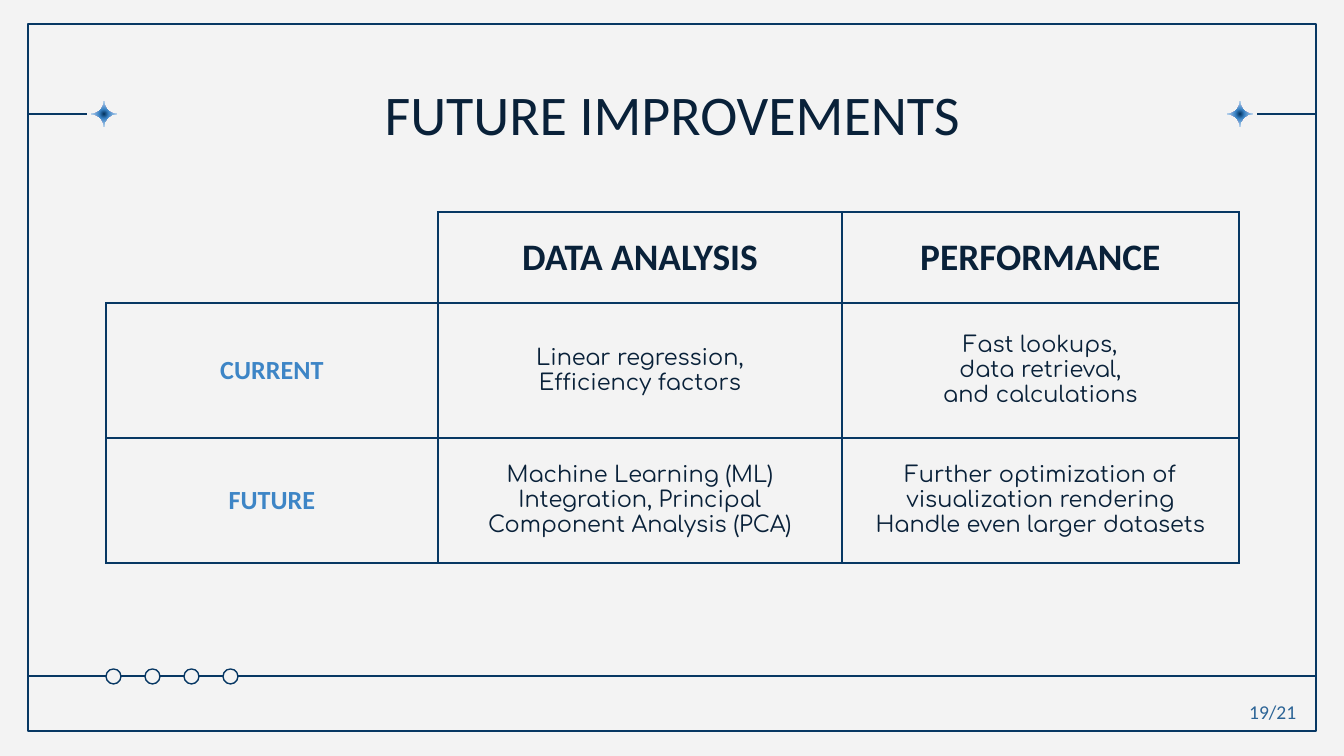
import math
from itertools import accumulate
from lxml import etree
from pptx import Presentation
from pptx import util as u
from pptx.dml.color import RGBColor
from pptx.enum import shapes, text
from pptx.oxml import parse_xml
from pptx.oxml.ns import nsdecls, qn

PX = 914400 / 134.4
NAVY, INK, BLUE, PAPER = "073763", "092139", "3D85C6", "F3F3F3"
HEAD = dict(size=20, name="Calibri", color=INK, bold=True)
LABEL = dict(HEAD, size=14, color=BLUE)
BODY = dict(size=12, name="Comfortaa", color=INK, bold=False)
STOPS = [(0, NAVY), (25, BLUE), (60, "9FC5E8"), (100, PAPER)]


def px(n):
    return u.Emu(round(n * PX))


def rgb(value):
    return RGBColor.from_string(value)


def border_xml(side, color):
    paint = f'<a:solidFill><a:srgbClr val="{color}"/></a:solidFill>' if color else "<a:noFill/>"
    return parse_xml(f'<a:{side} {nsdecls("a")} w="9525">{paint}</a:{side}>')


class Deck:
    line_width = u.Pt(0.75)

    def __init__(self, width, height):
        self.prs = Presentation()
        self.prs.slide_width, self.prs.slide_height = px(width), px(height)
        self.s = self.prs.slides.add_slide(self.prs.slide_layouts[6])
        fill = self.s.background.fill
        fill.solid()
        fill.fore_color.rgb = rgb(PAPER)

    def outline(self, sp):
        sp.line.color.rgb = rgb(NAVY)
        sp.line.width = self.line_width

    def shape(self, kind, x, y, w, h, fill=None):
        sp = self.s.shapes.add_shape(kind, px(x), px(y), px(w), px(h))
        sp.shadow.inherit = False
        self.outline(sp)
        if fill:
            sp.fill.solid()
            sp.fill.fore_color.rgb = rgb(fill)
        else:
            sp.fill.background()

    def line(self, x1, y1, x2, y2):
        sp = self.s.shapes.add_connector(shapes.MSO_CONNECTOR.STRAIGHT, px(x1), px(y1), px(x2), px(y2))
        self.outline(sp)
        etree.SubElement(sp._element.spPr, qn("a:effectLst"))

    def star(self, cx, cy, r, steps=8):
        arc = [(1 - math.cos(t), math.sin(t) - 1)
               for t in (i * math.pi / 2 / steps for i in range(steps))]
        points = []
        for _ in range(4):
            points += [(px(cx + r * x), px(cy + r * y)) for x, y in arc]
            arc = [(-y, x) for x, y in arc]
        fb = self.s.shapes.build_freeform(*points[0], scale=1.0)
        fb.add_line_segments(points[1:], close=True)
        sp = fb.convert_to_shape()
        sp.shadow.inherit = False
        sp.line.fill.background()
        stops = "".join(f'<a:gs pos="{p * 1000}"><a:srgbClr val="{c}"/></a:gs>' for p, c in STOPS)
        grad = parse_xml(
            f'<a:gradFill {nsdecls("a")}><a:gsLst>{stops}</a:gsLst><a:path path="circle">'
            '<a:fillToRect l="50000" t="50000" r="50000" b="50000"/></a:path></a:gradFill>')
        sp._element.spPr.find(qn("a:custGeom")).addnext(grad)

    def paragraphs(self, tf, content, style, align):
        for i, words in enumerate(content.split("\n")):
            p = tf.paragraphs[0] if i == 0 else tf.add_paragraph()
            p.alignment = align
            r = p.add_run()
            r.text = words
            for key, value in style.items():
                if key == "color":
                    r.font.color.rgb = rgb(value)
                else:
                    setattr(r.font, key, u.Pt(value) if key == "size" else value)

    def text(self, x, y, w, h, content, style, align=text.PP_ALIGN.LEFT, **frame):
        tf = self.s.shapes.add_textbox(px(x), px(y), px(w), px(h)).text_frame
        for key, value in frame.items():
            setattr(tf, key, value)
        self.paragraphs(tf, content, style, align)

    def cell(self, cell, content, style, margin_x, margin_y):
        margins = dict(margin_left=margin_x, margin_right=margin_x,
                       margin_top=margin_y, margin_bottom=margin_y)
        for key, value in margins.items():
            setattr(cell, key, px(value))
        cell.vertical_anchor = text.MSO_ANCHOR.MIDDLE
        tcPr = cell._tc.get_or_add_tcPr()
        for side in ("lnL", "lnR", "lnT", "lnB"):
            color = NAVY if content or side in ("lnR", "lnB") else None
            tcPr.append(border_xml(side, color))
        cell.fill.background()
        if content:
            self.paragraphs(cell.text_frame, content, style, text.PP_ALIGN.CENTER)

    def table(self, x, y, widths, heights, rows):
        table = self.s.shapes.add_table(len(rows), len(widths), px(x), px(y),
                                        px(sum(widths)), px(sum(heights))).table
        table.first_row = table.horz_banding = False
        for column, width in zip(table.columns, widths):
            column.width = px(width)
        for i, (row, height) in enumerate(zip(rows, heights)):
            table.rows[i].height = px(height)
            for j, content in enumerate(row):
                if i == 0:
                    look = HEAD, 0, 0
                else:
                    look = (LABEL, 13, 13) if j == 0 else (BODY, 27, 13)
                self.cell(table.cell(i, j), content, *look)


def main():
    deck = Deck(1344, 756)
    left, right, star_y, rule_y = 28, 1316, 114, 676
    deck.shape(shapes.MSO_SHAPE.RECTANGLE, left, 24, right - left, 707)
    deck.line(right, rule_y, left, rule_y)
    for edge, inward in ((left, 1), (right, -1)):
        deck.line(edge, star_y, edge + 59 * inward, star_y)
        deck.star(edge + 76 * inward, star_y, 13)
    for x in accumulate([39] * 3, initial=106):
        deck.shape(shapes.MSO_SHAPE.OVAL, x, rule_y - 7, 15, 15, PAPER)
    deck.text(106, 80, 1133, 71, "FUTURE IMPROVEMENTS", dict(size=30, name="Calibri", color=INK),
              text.PP_ALIGN.CENTER, word_wrap=True, margin_top=0)
    deck.table(106, 212, [332, 404, 397], [91, 135, 125], [
        ["", "DATA ANALYSIS", "PERFORMANCE"],
        ["CURRENT", "Linear regression,\nEfficiency factors",
         "Fast lookups,\ndata retrieval,\nand calculations"],
        ["FUTURE", "Machine Learning (ML) Integration, Principal Component Analysis (PCA)",
         "Further optimization of visualization rendering\nHandle even larger datasets"],
    ])
    deck.text(1236, 693, 78, 38, "19/21", dict(size=10.5, name="Calibri", color="2C6496"),
              word_wrap=False, auto_size=text.MSO_AUTO_SIZE.SHAPE_TO_FIT_TEXT)
    deck.prs.save("out.pptx")


if __name__ == "__main__":
    main()
